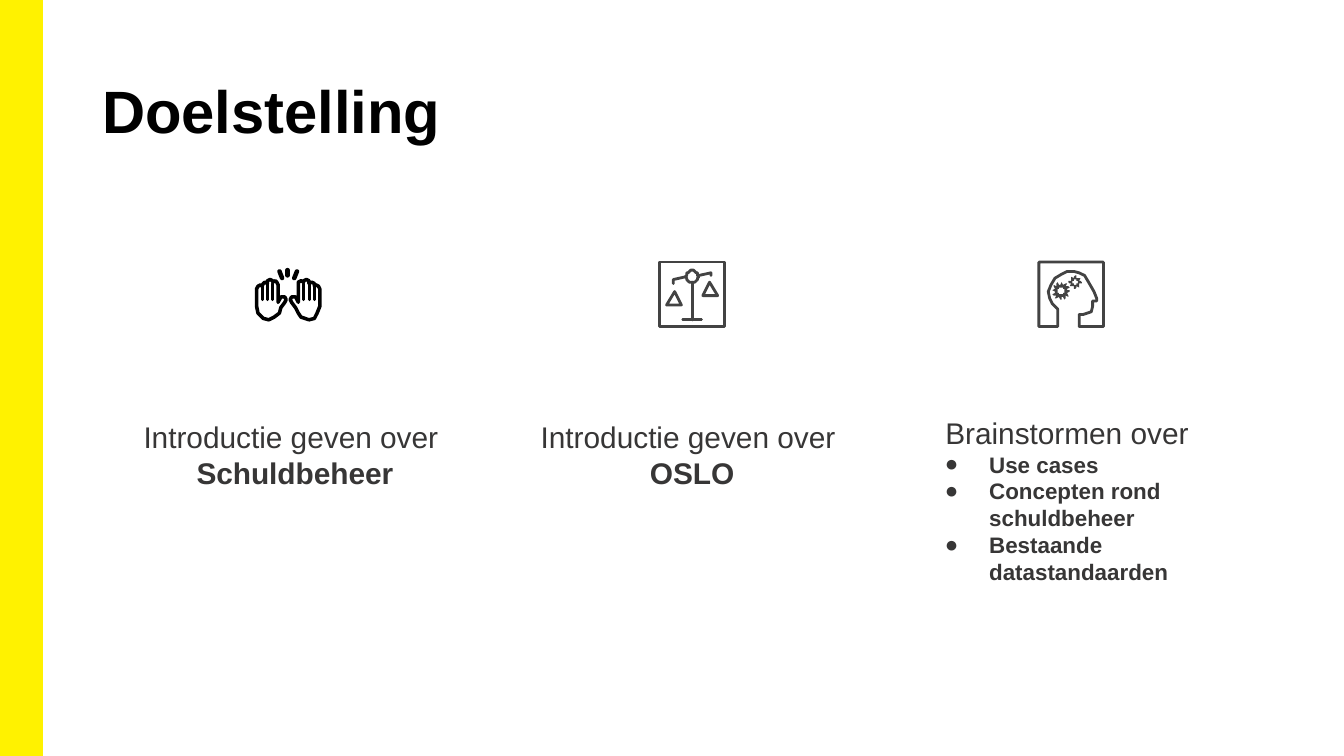
import math

import pptx
import pptx.dml.color
import pptx.enum.shapes
import pptx.enum.text
import pptx.oxml
import pptx.oxml.ns
import pptx.util
from pptx.util import Inches

COLORS = {"accent": "FFF200", "title": "000000", "text": "373636",
          "icon": "434343", "hands": "000000"}
FONT = "Arial"
ICON_UNIT = Inches(0.01)


def rgb(name):
    return pptx.dml.color.RGBColor.from_string(COLORS[name])


def add_run(paragraph, text, size, color, bold=False):
    run = paragraph.add_run()
    run.text = text
    run.font.name = FONT
    run.font.size = pptx.util.Pt(size)
    run.font.bold = bold
    run.font.color.rgb = rgb(color)


def set_frame(frame, anchor, side, edge):
    frame.word_wrap = True
    frame.auto_size = pptx.enum.text.MSO_AUTO_SIZE.NONE
    frame.vertical_anchor = anchor
    frame.margin_left = frame.margin_right = Inches(side)
    frame.margin_top = frame.margin_bottom = Inches(edge)


def set_bullet(paragraph, char=None):
    """Give the paragraph a bullet, or none when there is no character."""
    props = paragraph._p.get_or_add_pPr()
    props.set("marL", str(Inches(0.5) if char else 0))
    props.set("indent", str(Inches(-0.33) if char else 0))
    if char:
        bullet_color = props.makeelement(pptx.oxml.ns.qn("a:buClr"), {})
        bullet_color.append(props.makeelement(
            pptx.oxml.ns.qn("a:srgbClr"), {"val": COLORS["text"]}))
        props.append(bullet_color)
        props.append(props.makeelement(pptx.oxml.ns.qn("a:buChar"), {"char": char}))
    else:
        props.append(props.makeelement(pptx.oxml.ns.qn("a:buNone"), {}))


def place(shape, box):
    shape.left, shape.top, shape.width, shape.height = map(Inches, box)


def add_accent_bar(slide, width, height):
    bar = slide.shapes.add_shape(pptx.enum.shapes.MSO_SHAPE.RECTANGLE,
                                 0, 0, width, height)
    bar.shadow.inherit = False
    bar.fill.solid()
    bar.fill.fore_color.rgb = rgb("accent")
    bar.line.color.rgb = rgb("accent")
    bar.line.width = pptx.util.Pt(1)


def fill_title(title, box, text):
    place(title, box)
    set_frame(title.text_frame, pptx.enum.text.MSO_ANCHOR.TOP, 0.07, 0.04)
    heading = title.text_frame.paragraphs[0]
    heading.alignment = pptx.enum.text.PP_ALIGN.LEFT
    add_run(heading, text, 32, "title", bold=True)


def fill_goal(goal, box, intro, topic=None, bullets=()):
    """Write a centred intro, followed by a bold topic or a bulleted list."""
    place(goal, box)
    frame = goal.text_frame
    set_frame(frame, pptx.enum.text.MSO_ANCHOR.MIDDLE, 0.1, 0.05)
    lines = [(intro, 16, False, None)]
    if topic:
        lines.append((topic, 16, True, None))
    lines += [(bullet, 12, True, "●") for bullet in bullets]
    for index, (text, size, bold, char) in enumerate(lines):
        paragraph = frame.add_paragraph() if index else frame.paragraphs[0]
        paragraph.alignment = (pptx.enum.text.PP_ALIGN.LEFT if char
                               else pptx.enum.text.PP_ALIGN.CENTER)
        paragraph.line_spacing = 1.0
        paragraph.space_before = pptx.util.Pt(0)
        set_bullet(paragraph, char)
        add_run(paragraph, text, size, "text", bold)


def draw(slide, origin, contours, color, stroke=None, closed=True):
    """Draw contours in hundredths of an inch, stroked or else filled."""
    builder = slide.shapes.build_freeform(*contours[0][0], scale=ICON_UNIT)
    for index, contour in enumerate(contours):
        if index:
            builder.move_to(*contour[0])
        builder.add_line_segments(contour[1:], close=closed)
    outline = builder.convert_to_shape(*map(Inches, origin))
    outline.shadow.inherit = False
    if stroke:
        outline.fill.background()
        outline.line.color.rgb = rgb(color)
        outline.line.width = pptx.util.Pt(stroke)
        outline.element.spPr.find(pptx.oxml.ns.qn("a:ln")).set("cap", "rnd")
    else:
        outline.fill.solid()
        outline.fill.fore_color.rgb = rgb(color)
        outline.line.fill.background()


def circle(x, y, radius, steps=24):
    angles = [2 * math.pi * step / steps for step in range(steps)]
    return [(x + radius * math.cos(a), y + radius * math.sin(a)) for a in angles]


def gear(x, y, radius, hole, teeth):
    rim = circle(x, y, radius, teeth * 4)
    root = circle(x, y, radius * 0.75, teeth * 4)
    toothed = [rim[i] if i % 4 < 2 else root[i] for i in range(teeth * 4)]
    return [toothed, circle(x, y, hole)]


def add_hands_icon(slide, origin):
    hand = [(1, 29), (1, 15.5), (2, 14), (4, 13.3), (5, 13.5), (5.5, 12),
            (7, 11.2), (8.7, 11.5), (9.3, 10), (11, 9.2), (12.7, 10),
            (13.4, 11.2), (15, 10.4), (16.5, 11.2), (17, 13), (17, 25.5),
            (19, 22.5), (20.5, 21.7), (22, 22.3), (22.7, 23.7), (22, 26),
            (19, 30.5), (17.5, 33.5), (14.5, 37), (9.5, 38.7), (5.5, 37.7),
            (2.5, 34.5)]
    fingers = [[(x, top), (x, 24)] for x, top in ((5, 14), (9, 12), (13, 11.5))]
    ray = [(18, 3), (20, 7.5)]

    def both_sides(contours):
        return contours + [[(49 - x, y) for x, y in c] for c in contours]

    draw(slide, origin, both_sides([hand]), "hands", 1.9)
    draw(slide, origin, both_sides(fingers), "hands", 1.6, closed=False)
    draw(slide, origin, both_sides([ray]) + [[(24.5, 1.5), (24.5, 6.5)]],
         "hands", 2.4, closed=False)


def add_scales_icon(slide, origin):
    frame = [(1, 1), (49, 1), (49, 49), (1, 49)]
    pans = [[(x, top), (x - 5.2, top + 10), (x + 5.2, top + 10)]
            for x, top in ((11.5, 23), (38.5, 16.5))]
    stand = [[(25, 16), (25, 44)], [(18, 44), (32, 44)]]
    beam = [[(11, 17), (11, 14), (20, 12.3)], [(30, 10.8), (39, 9), (39, 11)]]
    draw(slide, origin, [frame, *pans, circle(25, 11.7, 4.5)], "icon", 1.5)
    draw(slide, origin, stand + beam, "icon", 1.5, closed=False)


def add_ideas_icon(slide, origin):
    head = [(15, 49), (1, 49), (1, 1), (49, 1), (49, 49), (31, 49), (31, 40),
            (34, 40), (37, 39.2), (39.5, 37.5), (41, 34.5), (41, 30), (44, 30),
            (43.5, 28), (41.5, 23), (38.5, 16), (35, 11.2), (31, 8.7), (27, 8),
            (22, 8), (17.5, 9.7), (13, 12.7), (9.7, 17.5), (8, 23), (8.7, 28),
            (11, 32.5), (15, 36)]
    draw(slide, origin, [head], "icon", 1.5)
    draw(slide, origin, gear(17.5, 22.5, 6.6, 2.7, 12), "icon")
    draw(slide, origin, gear(28, 16, 4.9, 1.8, 8), "icon")


def main():
    deck = pptx.Presentation()
    deck.slide_width = Inches(10)
    deck.slide_height = deck.slide_width * 9 // 16
    slide = deck.slides.add_slide(deck.slide_layouts[1])
    add_accent_bar(slide, Inches(0.31), deck.slide_height)
    fill_title(slide.shapes.title, (0.69, 0.51, 8.62, 0.81), "Doelstelling")

    introductions = (
        ((0.94, 2.85, 2.51, 1.06), "Introductie geven over ", "Schuldbeheer"),
        ((3.79, 2.51, 2.72, 1.74), "Introductie geven over ", "OSLO"))
    for box, intro, topic in introductions:
        introduction = slide.shapes.add_textbox(*map(Inches, box))
        fill_goal(introduction, box, intro, topic)
    fill_goal(slide.placeholders[1], (6.76, 2.85, 2.42, 1.74), "Brainstormen over ",
              bullets=("Use cases ", "Concepten rond schuldbeheer",
                       "Bestaande datastandaarden"))

    add_hands_icon(slide, (1.9, 1.99))
    add_scales_icon(slide, (4.9, 1.94))
    add_ideas_icon(slide, (7.72, 1.94))
    deck.save("out.pptx")


if __name__ == "__main__":
    main()
